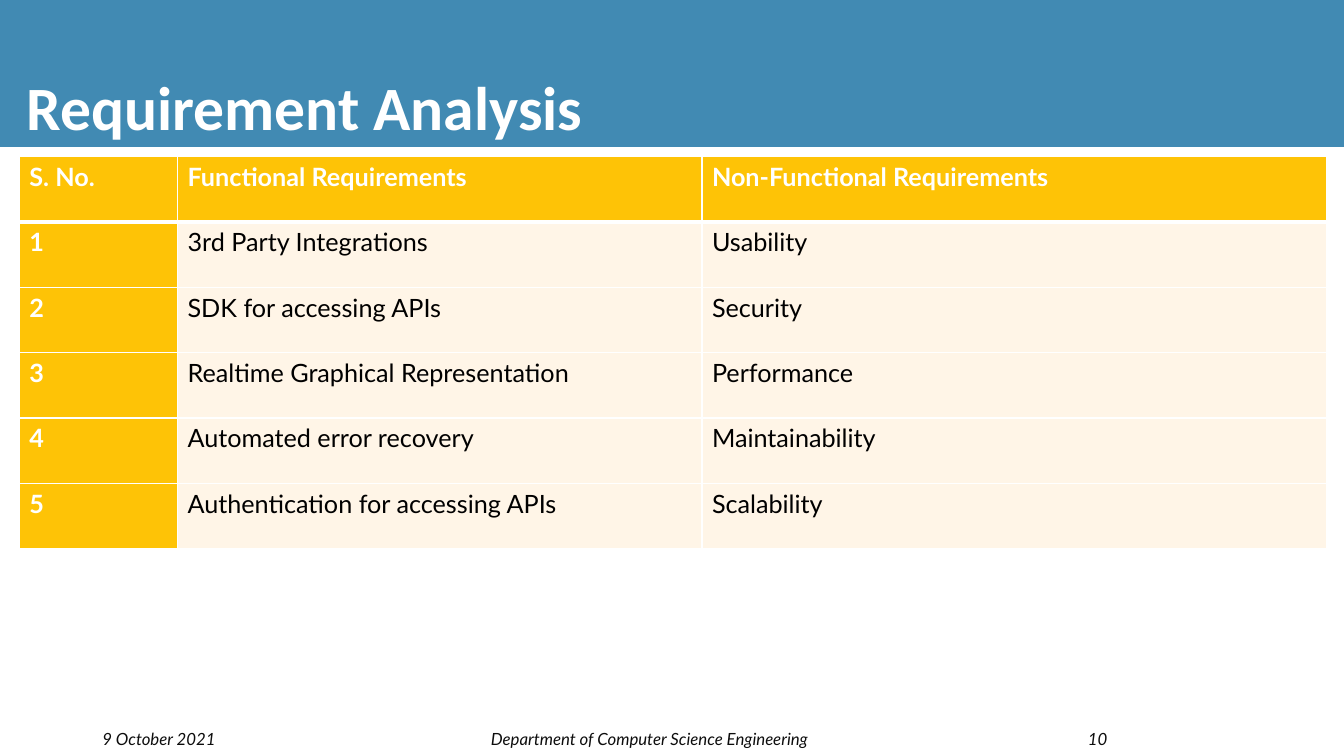
"""Build the Requirement Analysis slide."""
from lxml import etree
from pptx import Presentation
from pptx.dml.color import RGBColor
from pptx.enum import shapes, text
from pptx.oxml import ns
from pptx.util import Pt

COLORS = {"band": "418AB3", "accent": "FEC306", "body": "FFF5E7",
          "white": "FFFFFF", "black": "000000", "footer": "0D0D0D"}
TITLE = "Requirement Analysis"
HEADER = ("S. No.", "Functional Requirements", "Non-Functional Requirements")
REQUIREMENTS = [
    ("3rd Party Integrations", "Usability"),
    ("SDK for accessing APIs", "Security"),
    ("Realtime Graphical Representation", "Performance"),
    ("Automated error recovery", "Maintainability"),
    ("Authentication for accessing APIs", "Scalability"),
]
ALIGN = text.PP_ALIGN
FOOTERS = [
    ("9 October 2021", 66, 252, ALIGN.LEFT),
    ("Department of Computer Science Engineering", 338, 252, ALIGN.CENTER),
    ("10", 690, 108, ALIGN.RIGHT),
]
SLIDE_W, SLIDE_H, BAND_H = 960, 540, 105
TABLE_X, TABLE_Y, ROW_H = 13.8, 111.8, 46.7
COL_WIDTHS = (113, 374.6, 446)
TITLE_FONT = {"name": "Calibri", "size": Pt(44), "bold": True}
FOOTER_FONT = {"name": "Lato", "size": Pt(12), "italic": True}
HEAD_FONT = {"name": "Lato", "size": Pt(18), "bold": True}
BODY_FONT = {**HEAD_FONT, "bold": False}


def rgb(key):
    return RGBColor.from_string(COLORS[key])


def write(tf, content, font, color, align=ALIGN.LEFT):
    p = tf.paragraphs[0]
    p.alignment = align
    r = p.add_run()
    r.text = content
    for name, value in font.items():
        setattr(r.font, name, value)
    r.font.color.rgb = rgb(color)


def set_borders(cell, widths):
    tc_pr = cell._tc.get_or_add_tcPr()
    for i, (side, width) in enumerate(zip("LRTB", widths)):
        ln = etree.Element(ns.qn(f"a:ln{side}"), w=str(Pt(width)))
        fill = etree.SubElement(ln, ns.qn("a:solidFill"))
        etree.SubElement(fill, ns.qn("a:srgbClr"), val=COLORS["white"])
        tc_pr.insert(i, ln)


prs = Presentation()
prs.slide_width, prs.slide_height = Pt(SLIDE_W), Pt(SLIDE_H)
s = prs.slides.add_slide(prs.slide_layouts[5])

band = s.shapes.add_shape(shapes.MSO_SHAPE.RECTANGLE, 0, 0, Pt(SLIDE_W), Pt(BAND_H))
band.shadow.inherit = False
band.fill.solid()
band.fill.fore_color.rgb = rgb("band")
band.line.fill.background()

title = s.shapes.title
band.element.addnext(title.element)
title.left, title.top, title.width, title.height = Pt(12), 0, Pt(935), Pt(102)
tf = title.text_frame
tf.vertical_anchor = text.MSO_ANCHOR.BOTTOM
tf.margin_bottom = 0
write(tf, TITLE, TITLE_FONT, "white")

for content, x, width, align in FOOTERS:
    tf = s.shapes.add_textbox(Pt(x), Pt(517), Pt(width), Pt(21.6)).text_frame
    tf.word_wrap = True
    tf.vertical_anchor = text.MSO_ANCHOR.MIDDLE
    write(tf, content, FOOTER_FONT, "footer", align)

rows = [HEADER] + [(str(n), *pair) for n, pair in enumerate(REQUIREMENTS, 1)]
table = s.shapes.add_table(len(rows), len(HEADER), Pt(TABLE_X), Pt(TABLE_Y),
                           Pt(sum(COL_WIDTHS)), Pt(ROW_H * len(rows))).table
for column, width in zip(table.columns, COL_WIDTHS):
    column.width = Pt(width)
for i, row in enumerate(rows):
    table.rows[i].height = Pt(ROW_H)
    for j, content in enumerate(row):
        cell = table.cell(i, j)
        is_head = i == 0 or j == 0
        cell.fill.solid()
        cell.fill.fore_color.rgb = rgb("accent" if is_head else "body")
        write(cell.text_frame, content, HEAD_FONT if is_head else BODY_FONT,
              "white" if is_head else "black")
        set_borders(cell, (1, 1, 3 if i == 1 else 1, 3 if i == 0 else 1))

prs.save("out.pptx")
